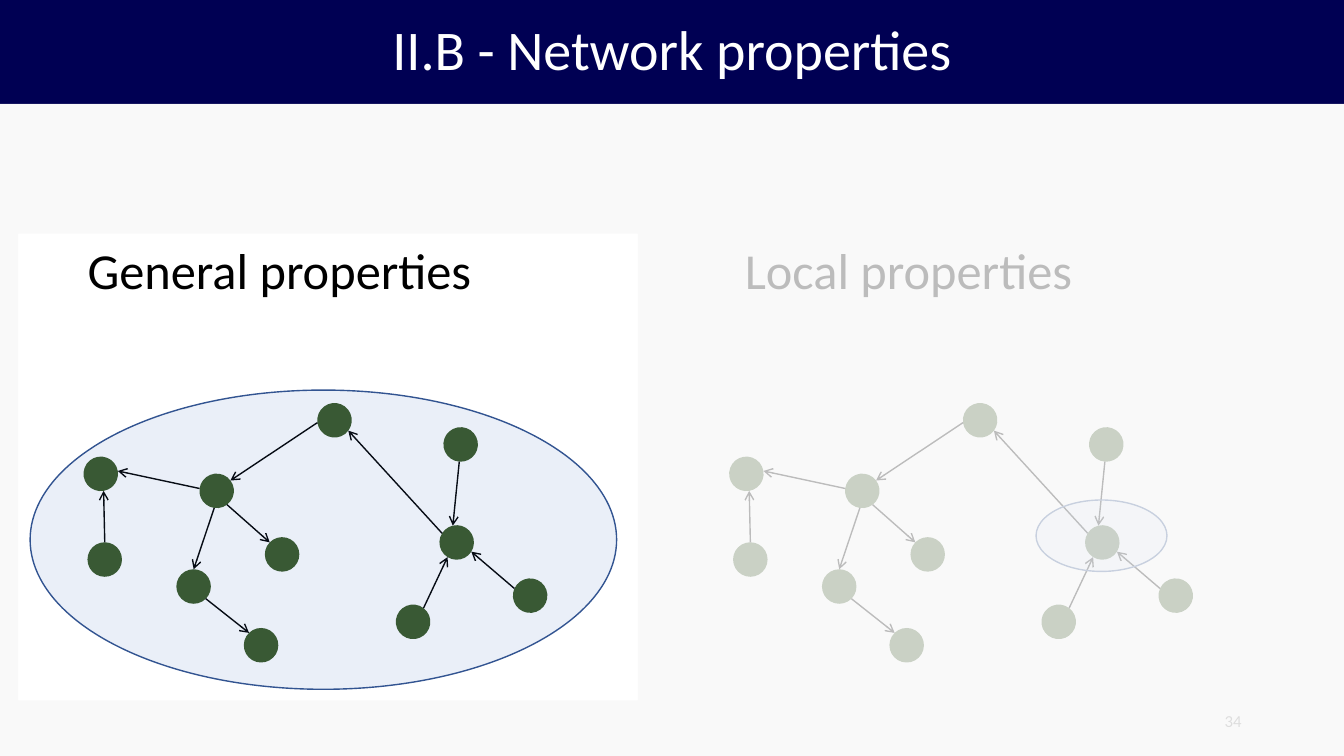
from math import cos, radians, sin

from lxml import etree
from pptx import Presentation
from pptx.dml.color import RGBColor
from pptx.enum.shapes import MSO_CONNECTOR, MSO_SHAPE
from pptx.enum.text import MSO_ANCHOR, PP_ALIGN
from pptx.oxml.ns import qn
from pptx.util import Cm, Pt

OVAL, RECTANGLE = MSO_SHAPE.OVAL, MSO_SHAPE.RECTANGLE
STRAIGHT = MSO_CONNECTOR.STRAIGHT
LEFT, CENTER, RIGHT = PP_ALIGN.LEFT, PP_ALIGN.CENTER, PP_ALIGN.RIGHT
TOP, MIDDLE = MSO_ANCHOR.TOP, MSO_ANCHOR.MIDDLE

COLORS = {
    "banner": "000053", "title": "FFFFFF", "text": "000000", "node": "385723",
    "region": "4472C4", "region line": "325491", "veil": "F8F8F8", "number": "8B8B8B",
}
FONT = "Calibri"

# All lengths are in centimetres, all angles in degrees.
PAGE_WIDTH, PAGE_HEIGHT = 33.87, 19.05
BANNER_HEIGHT = 2.62
TITLE = "II.B - Network properties"
PAGE_NUMBER = "34"
HEADING_TOP, HEADING_HEIGHT = 5.89, 1.8
NODE_SIZE = 0.87

# Each panel: heading, heading left, heading width, network offset, region box
PANELS = [
    ("General properties", 1.96, 10.29, 0, (0.76, 9.83, 14.78, 7.54)),
    ("Local properties", 18.52, 8.84, 16.27, (26.11, 12.6, 3.3, 1.8)),
]
SPOTLIGHT = (0.46, 5.89, 16.08, 17.65)  # left, top, right, bottom

# Each node: centre x, centre y, rotation
NODES = {
    "top": (8.43, 10.59, 262),
    "branch": (5.46, 12.37, 53),
    "hub": (11.51, 13.67, 347.1),
    "far left": (2.54, 11.94, 350.5),
    "low left": (2.64, 14.1, 0),
    "middle": (7.11, 13.97, 314.1),
    "lower": (4.88, 14.78, 0),
    "lowest": (6.58, 16.26, 315.8),
    "hub north": (11.61, 11.2, 4.7),
    "hub south": (10.41, 15.67, 307.2),
    "hub east": (13.36, 15.01, 24.5),
}
# Compass points of a node turn with it
COMPASS = {"E": 0, "SE": 45, "S": 90, "SW": 135, "W": 180, "NW": 225, "N": 270}
ARROWS = [
    ("branch", "SW", "far left", "E"),
    ("low left", "N", "far left", "S"),
    ("branch", "SE", "lower", "N"),
    ("branch", "E", "middle", "N"),
    ("top", "N", "branch", "N"),
    ("lower", "SE", "lowest", "N"),
    ("hub", "NW", "top", "SW"),
    ("hub south", "E", "hub", "SW"),
    ("hub north", "S", "hub", "N"),
    ("hub east", "W", "hub", "SE"),
]


def color(name):
    return RGBColor.from_string(COLORS[name])


def style(shape, fill, opacity=100, line=None):
    shape.shadow.inherit = False
    shape.fill.solid()
    shape.fill.fore_color.rgb = color(fill)
    if opacity < 100:
        tint = shape.fill._xPr.find(qn("a:solidFill"))[0]
        etree.SubElement(tint, qn("a:alpha"), val=str(opacity * 1000))
    if line:
        shape.line.color.rgb = color(line)
        shape.line.width = Pt(1)
    else:
        shape.line.fill.background()


def add_shape(page, kind, box, fill, **look):
    shape = page.shapes.add_shape(kind, *map(Cm, box))
    style(shape, fill, **look)
    return shape


def write(shape, text, size, ink, align=LEFT, anchor=TOP, wrap=True, spacing=None):
    frame = shape.text_frame
    frame.word_wrap = wrap
    frame.vertical_anchor = anchor
    para = frame.paragraphs[0]
    para.alignment = align
    para.line_spacing = spacing
    span = para.add_run()
    span.text = text
    span.font.name = FONT
    span.font.size = Pt(size)
    span.font.color.rgb = color(ink)


def add_text(page, text, box, **text_format):
    write(page.shapes.add_textbox(*map(Cm, box)), text, **text_format)


def rim_point(node, direction, offset):
    """Return the point on a node's edge at a compass point, turned with the node."""
    x, y, rotation = NODES[node]
    angle = radians(COMPASS[direction] + rotation)
    radius = NODE_SIZE / 2
    return Cm(x + offset + radius * cos(angle)), Cm(y + radius * sin(angle))


def add_arrow(page, start, end):
    arrow = page.shapes.add_connector(STRAIGHT, *start, *end)
    arrow.line.color.rgb = color("text")
    arrow.line.width = Pt(1)
    etree.SubElement(arrow.line._get_or_add_ln(), qn("a:tailEnd"), type="arrow")
    etree.SubElement(arrow._element.spPr, qn("a:effectLst"))


def add_network(page, offset):
    for x, y, rotation in NODES.values():
        box = (x + offset - NODE_SIZE / 2, y - NODE_SIZE / 2, NODE_SIZE, NODE_SIZE)
        add_shape(page, OVAL, box, "node").rotation = rotation
    for source, leaving, target, entering in ARROWS:
        add_arrow(page, rim_point(source, leaving, offset),
                  rim_point(target, entering, offset))


def add_veil(page):
    """Fade everything below the banner except the spotlight."""
    left, top, right, bottom = SPOTLIGHT
    outline = page.shapes.build_freeform(Cm(left), Cm(top))
    hole = [(left, bottom), (right, bottom), (right, top)]
    outline.add_line_segments([(Cm(x), Cm(y)) for x, y in hole], close=True)
    outline.move_to(Cm(0), Cm(BANNER_HEIGHT))
    edge = [(PAGE_WIDTH, BANNER_HEIGHT), (PAGE_WIDTH, PAGE_HEIGHT), (0, PAGE_HEIGHT)]
    outline.add_line_segments([(Cm(x), Cm(y)) for x, y in edge], close=True)
    style(outline.convert_to_shape(), "veil", opacity=76)


def main():
    deck = Presentation()
    deck.slide_width, deck.slide_height = Cm(PAGE_WIDTH), Cm(PAGE_HEIGHT)
    page = deck.slides.add_slide(deck.slide_layouts[6])

    banner = add_shape(page, RECTANGLE, (0, 0, PAGE_WIDTH, BANNER_HEIGHT), "banner")
    write(banner, TITLE, size=40, ink="title", align=CENTER, anchor=MIDDLE, spacing=0.9)
    add_text(page, PAGE_NUMBER, (23.92, 17.66, 7.62, 1.01), size=12, ink="number",
             align=RIGHT, anchor=MIDDLE)
    for heading, left, width, offset, _ in PANELS:
        add_text(page, heading, (left, HEADING_TOP, width, HEADING_HEIGHT),
                 size=36, ink="text", wrap=False)
        add_network(page, offset)
    for *_, region in PANELS:
        add_shape(page, OVAL, region, "region", opacity=11, line="region line")
    add_veil(page)
    deck.save("out.pptx")


if __name__ == "__main__":
    main()
